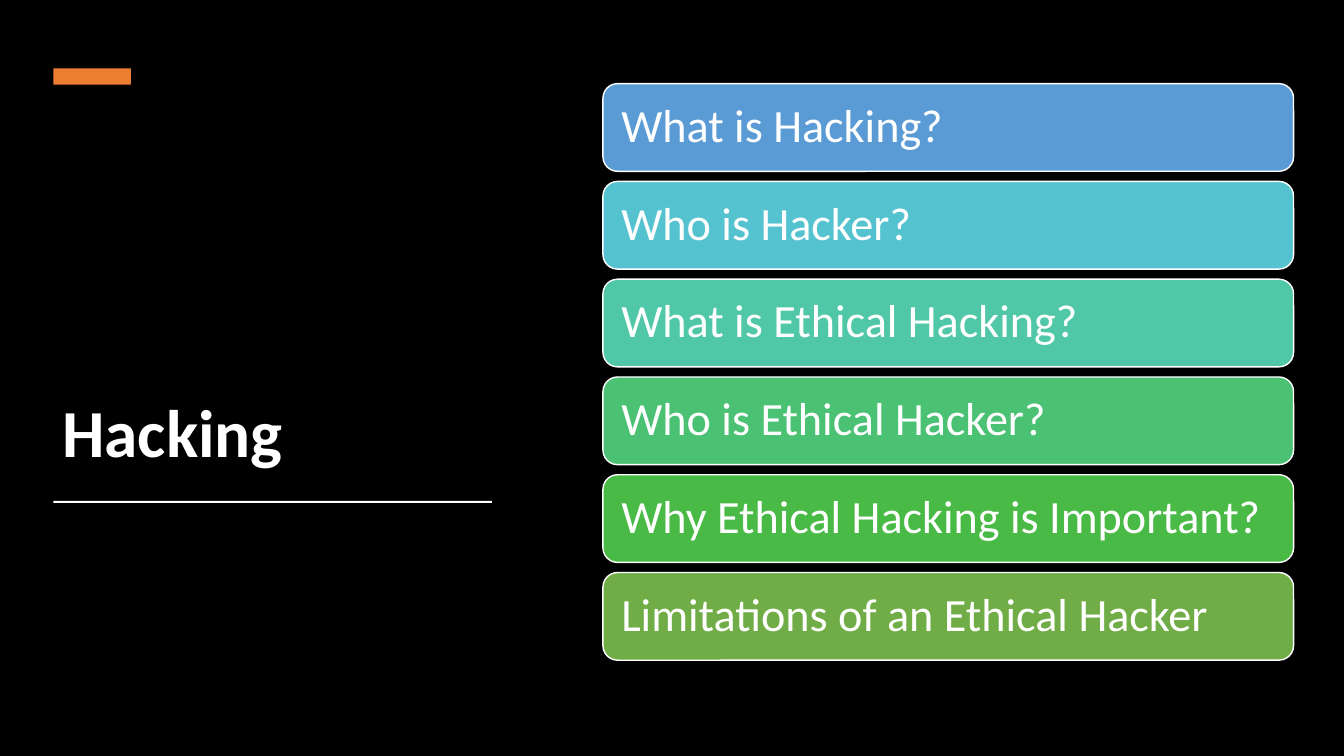
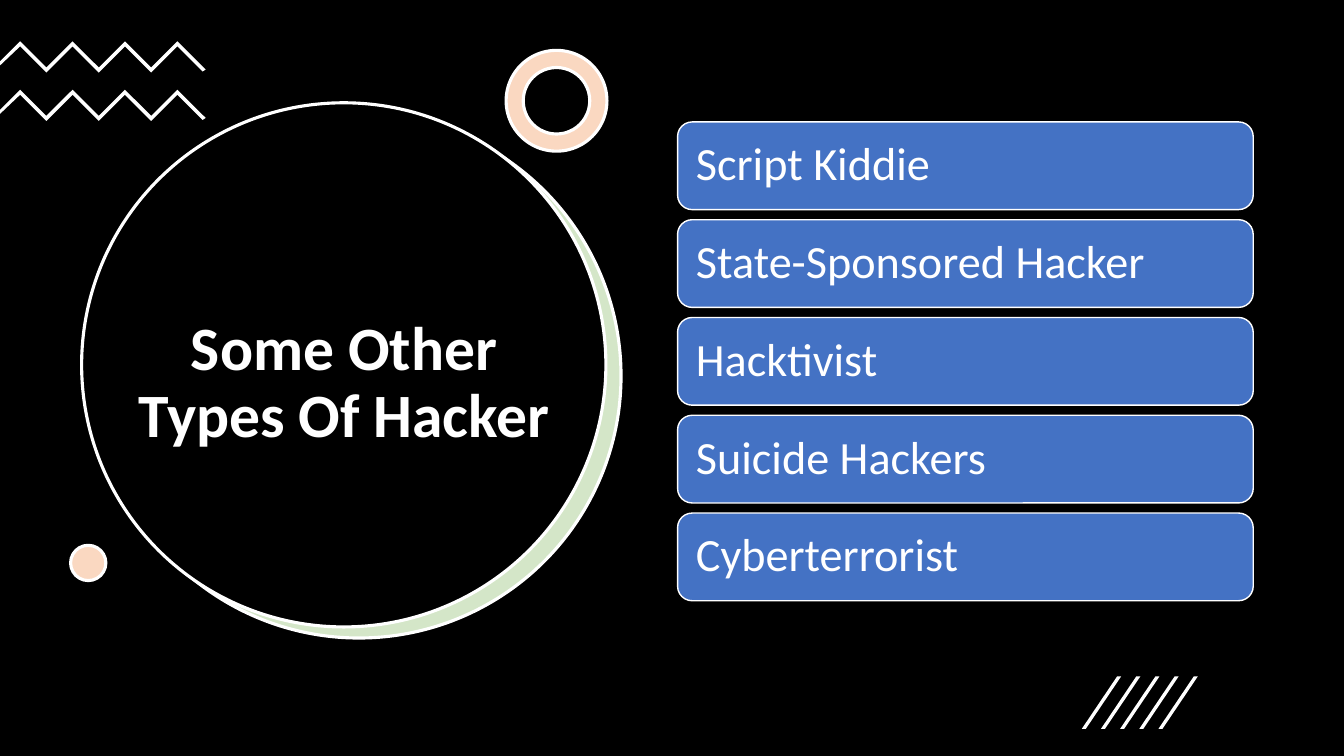
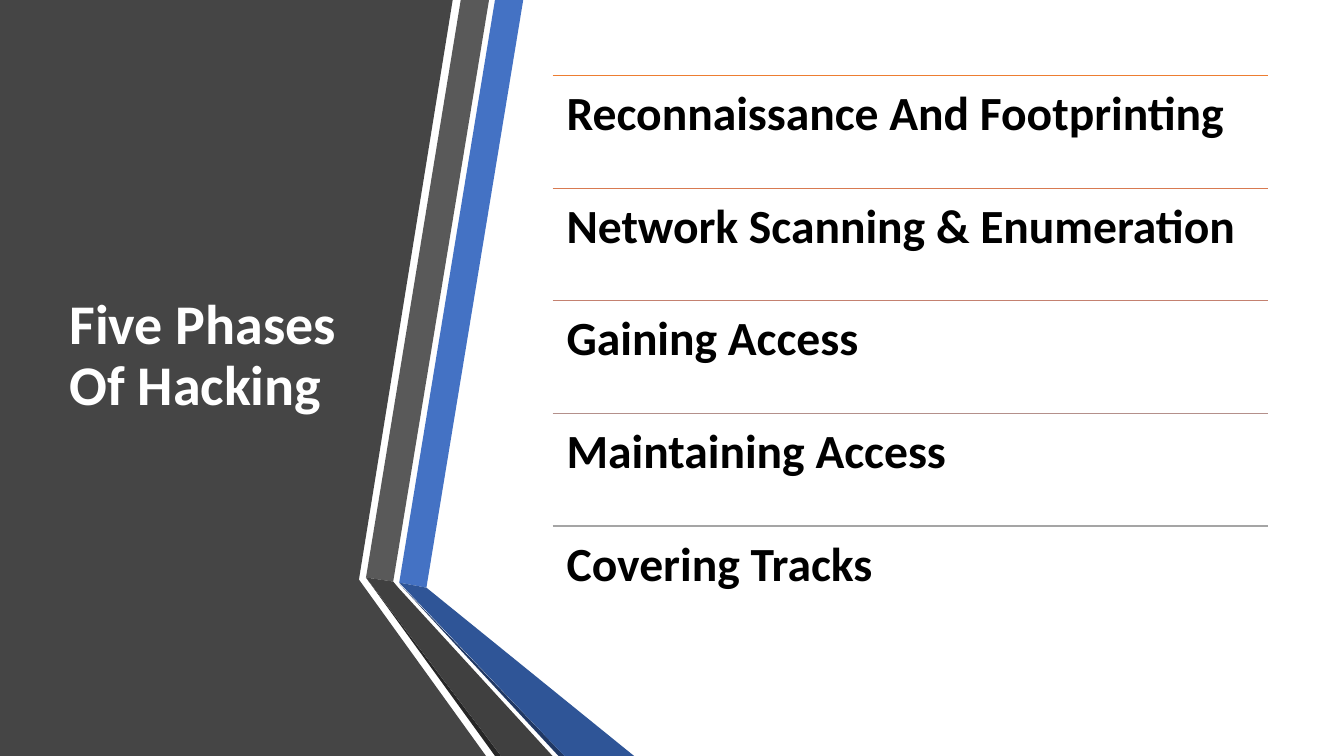
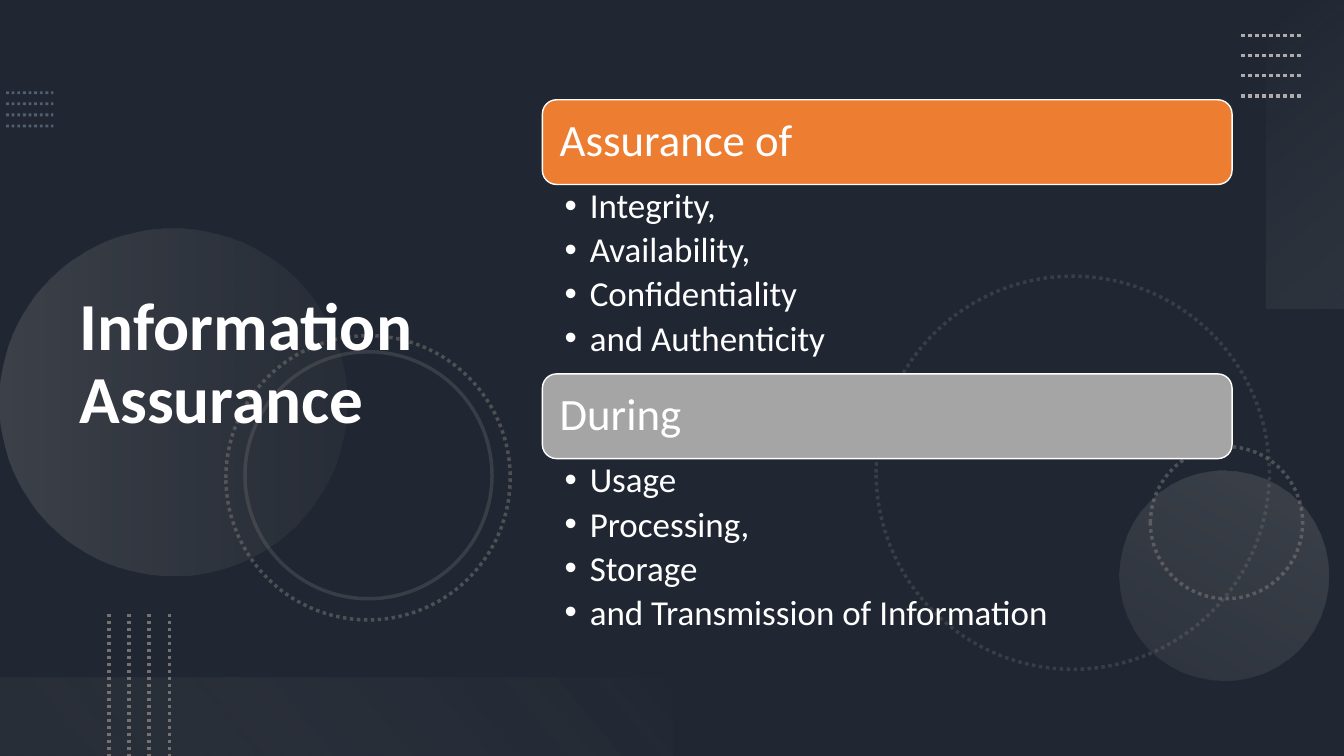
"""Build four slides on hacking, hacker types, hacking phases and information assurance."""
from lxml.etree import SubElement
from pptx import Presentation
from pptx.dml.color import RGBColor
from pptx.enum.dml import MSO_LINE
from pptx.enum.shapes import MSO_CONNECTOR, MSO_SHAPE as SHAPE
from pptx.enum.text import MSO_ANCHOR as ANCHOR, MSO_AUTO_SIZE, PP_ALIGN as ALIGN
from pptx.oxml.ns import qn
from pptx.util import Pt

PX = 9144
W, H = 1333, 750
FONT = "Calibri"
TITLE_ONLY, TWO_CONTENT = 5, 3
C = {
    "black": "000000", "white": "FFFFFF", "night": "202732", "orange": "ED7D31",
    "blue": "4472C4", "navy": "2F5597", "navy_edge": "203864", "panel": "454545",
    "band": "595959", "fold": "404040", "fold_edge": "262626", "peach": "FAD8C1",
    "mint": "D4E6C8", "silver": "A5A5A5", "ash": "AFABAB", "stone": "767171",
    "slate": "8497B0", "pale": "F5F5F5",
}

TOPICS = [
    ("What is Hacking?", "5B9BD5"), ("Who is Hacker?", "55C3CF"),
    ("What is Ethical Hacking?", "50C8A7"), ("Who is Ethical Hacker?", "4BC174"),
    ("Why Ethical Hacking is Important?", "4ABA46"),
    ("Limitations of an Ethical Hacker", "70AD47"),
]
HACKERS = ["Script Kiddie", "State-Sponsored Hacker", "Hacktivist",
           "Suicide Hackers", "Cyberterrorist"]
PHASES = [
    ("Reconnaissance And Footprinting", "ED7D31"),
    ("Network Scanning & Enumeration", "D87A51"), ("Gaining Access", "C48170"),
    ("Maintaining Access", "B4908B"), ("Covering Tracks", "A5A5A5"),
]
ASSURANCE = [
    ("Assurance of", C["orange"],
     ["Integrity,", "Availability,", "Confidentiality", "and Authenticity"]),
    ("During", C["silver"],
     ["Usage", "Processing,", "Storage", "and Transmission of Information"]),
]
FOLDED_BANDS = [
    ("panel", [(0, 0), (449, 0), (356, 575), (482, 750), (0, 750)]),
    ("blue", [(396, 578), (423, 583), (519, 0), (491, 0)]),
    ("band", [(485, 0), (457, 0), (363, 573), (390, 577)]),
    ("fold_edge", [(363, 573), (491, 750), (497, 750)]),
    ("navy_edge", [(396, 579), (554, 750), (560, 750)]),
    ("navy", [(396, 578), (560, 750), (629, 750), (423, 583)]),
    ("fold", [(548, 750), (395, 583), (390, 577), (363, 573), (497, 750)]),
]
RINGS = [
    ((869, 274, 390, 390), 30, True), ((1141, 443, 151, 151), 55, True),
    ((224, 333, 282, 282), 55, True), ((243, 349, 245, 245), 30, False),
]
GLOWS = [
    (SHAPE.OVAL, (0, 227, 344, 344), 270, 90, [(0, "ash", 20), (1, "stone", 10)]),
    (SHAPE.OVAL, (1110, 467, 208, 208), 210, 90, [(0, "ash", 10), (1, "ash", 20)]),
    (SHAPE.RECTANGLE, (1142, 114, 306, 78), 270, 140, [(0, "pale", 0), (1, "ash", 10)]),
    (SHAPE.RECTANGLE, (0, 672, 667, 78), 180, 140, [(0.1, "stone", 10), (1, "pale", 0)]),
]
DOTTED_ROWS = [
    ((6, 92, 53, 92), (0, 11), "slate", 2, 50),
    ((1231, 35, 1291, 35), (0, 20), "ash", 2.5, 100),
    ((108, 609, 108, 750), (20, 0), "stone", 2.5, 100),
]


def emu(values):
    return [v * PX for v in values]


def put(obj, values):
    for name, value in values.items():
        setattr(obj, name, value)


def margins(x, y, right=None):
    return {"margin_left": x * PX, "margin_right": (x if right is None else right) * PX,
            "margin_top": y * PX, "margin_bottom": y * PX}


def fade(parent, percents):
    for clr, percent in zip(parent.iter(qn("a:srgbClr")), percents):
        SubElement(clr, qn("a:alpha"), val=str(percent * 1000))


def stroke(line, color, width, dotted=False):
    line.color.rgb = RGBColor.from_string(color)
    line.width = Pt(width)
    if dotted:
        line.dash_style = MSO_LINE.ROUND_DOT


def paint(sp, fill=None, line=None, width=1):
    sp.shadow.inherit = False
    if fill:
        sp.fill.solid()
        sp.fill.fore_color.rgb = RGBColor.from_string(fill)
    else:
        sp.fill.background()
    if line:
        stroke(sp.line, line, width)
    else:
        sp.line.fill.background()
    return sp


def add_shape(slide, kind, box, *style):
    return paint(slide.shapes.add_shape(kind, *emu(box)), *style)


def add_outline(slide, points, color):
    builder = slide.shapes.build_freeform(*points[0], scale=PX)
    builder.add_line_segments(points[1:], close=True)
    return paint(builder.convert_to_shape(), color)


def add_line(slide, ends, color, width, dotted=False, percent=100):
    cx = slide.shapes.add_connector(MSO_CONNECTOR.STRAIGHT, *emu(ends))
    stroke(cx.line, color, width, dotted)
    spPr = cx._element.spPr
    if percent < 100:
        fade(spPr, [percent])
    SubElement(spPr, qn("a:effectLst"))


def write(sp, lines, size, color, frame, bold=False, align=ALIGN.LEFT, after=0):
    tf = sp.text_frame
    put(tf, {"word_wrap": True, "auto_size": MSO_AUTO_SIZE.NONE, **frame})
    tf.text = "\n".join(lines)
    for p in tf.paragraphs:
        put(p, {"alignment": align, "line_spacing": 0.9,
                "space_before": Pt(0), "space_after": Pt(after)})
        for r in p.runs:
            put(r.font, {"name": FONT, "size": Pt(size), "bold": bold})
            r.font.color.rgb = RGBColor.from_string(color)


def place(sp, box):
    put(sp, dict(zip(("left", "top", "width", "height"), emu(box))))


def add_slide(prs, background, layout=TITLE_ONLY):
    slide = prs.slides.add_slide(prs.slide_layouts[layout])
    slide.background.fill.solid()
    slide.background.fill.fore_color.rgb = RGBColor.from_string(background)
    return slide


def set_title(slide, text, box, size, anchor=ANCHOR.MIDDLE, align=ALIGN.LEFT):
    title = slide.shapes.title
    place(title, box)
    write(title, [text], size, C["white"],
          {"vertical_anchor": anchor, **margins(10, 5)}, True, align)
    slide.shapes._spTree.append(title._element)


def add_card(slide, text, box, fill, size, margin=14):
    card = add_shape(slide, SHAPE.ROUNDED_RECTANGLE, box, fill, C["white"])
    write(card, [text], size, C["white"],
          {"vertical_anchor": ANCHOR.MIDDLE, **margins(margin, margin)})


def add_cards(slide, cards, left, top, width):
    for i, (text, fill) in enumerate(cards):
        add_card(slide, text, (left, top + 97 * i, width, 87), fill, 33)


def topics_slide(prs):
    slide = add_slide(prs, C["black"])
    set_title(slide, "Hacking", (52, 123, 440, 350), 48, ANCHOR.BOTTOM)
    add_shape(slide, SHAPE.RECTANGLE, (53, 68, 77, 16), C["orange"])
    add_shape(slide, SHAPE.RECTANGLE, (53, 497, 435, 2), C["white"])
    add_cards(slide, TOPICS, 598, 83, 685)


def zigzag(top):
    ridge = [(20 + 26 * i, top + 26 * (i % 2)) for i in range(7)]
    under = [(x, y + 5) for x, y in reversed(ridge)]
    return (ridge + [(204, top + 28), (201, top + 30)] + under
            + [(0, top + 24), (0, top + 20)])


def hackers_slide(prs):
    slide = add_slide(prs, C["black"])
    for box, fill in [((96, 113, 520, 520), "mint"), ((81, 102, 520, 520), "black"),
                      ((70, 541, 35, 35), "peach")]:
        add_shape(slide, SHAPE.OVAL, box, C[fill], C["white"], 2.25)
    ring = add_shape(slide, SHAPE.DONUT, (502, 50, 100, 100), C["peach"], C["white"], 2.25)
    ring.adjustments[0] = 0.17
    set_title(slide, "Some Other Types Of Hacker", (121, 205, 441, 352), 44,
              align=ALIGN.CENTER)
    for top in (41, 89):
        add_outline(slide, zigzag(top), C["white"])
    for left in range(1073, 1073 + 5 * 19, 19):
        add_outline(slide, [(left + 4, 723), (left, 723), (left + 35, 671),
                            (left + 39, 671)], C["white"])
    add_cards(slide, [(name, C["blue"]) for name in HACKERS], 672, 121, 571)


def phases_slide(prs):
    slide = add_slide(prs, C["white"])
    for color, points in FOLDED_BANDS:
        add_outline(slide, points, C[color])
    set_title(slide, "Five Phases Of Hacking", (59, 75, 304, 558), 40)
    for i, (text, color) in enumerate(PHASES):
        top = round(75 + 111.7 * i)
        add_line(slide, (548, top, 1258, top), color, 1)
        box = slide.shapes.add_textbox(*emu((548, top, 710, 112)))
        write(box, [text], 34, C["black"], margins(14, 14), True)


def assurance_slide(prs):
    slide = add_slide(prs, C["night"], TWO_CONTENT)
    for box, percent, dotted in RINGS:
        ring = add_shape(slide, SHAPE.OVAL, box)
        stroke(ring.line, C["stone"], 2.5, dotted)
        fade(ring._element.spPr, [percent])
    for kind, box, turn, angle, stops in GLOWS:
        glow = add_shape(slide, kind, box)
        glow.rotation = turn
        glow.fill.gradient()
        glow.fill.gradient_angle = 360 - angle
        for stop, (position, color, _) in zip(glow.fill.gradient_stops, stops):
            stop.position = position
            stop.color.rgb = RGBColor.from_string(C[color])
        fade(glow._element.spPr, [percent for _, _, percent in stops])
    for (x1, y1, x2, y2), (dx, dy), color, width, percent in DOTTED_ROWS:
        for i in range(4):
            add_line(slide, (x1 + dx * i, y1 + dy * i, x2 + dx * i, y2 + dy * i),
                     C[color], width, True, percent)
    set_title(slide, "Information Assurance", (69, 54, 459, 617), 48)
    for i, (heading, fill, items) in enumerate(ASSURANCE):
        top = 99 + 272 * i
        add_card(slide, heading, (538, top, 684, 84), fill, 32, 13)
        body = slide.placeholders[i + 1]
        place(body, (538, top + 84, 684, 188))
        write(body, items, 25, C["white"],
              {"vertical_anchor": ANCHOR.TOP, **margins(22, 4, 25)}, after=4.5)
        for p in body.text_frame.paragraphs:
            pPr = p._p.get_or_add_pPr()
            pPr.set("marL", str(25 * PX))
            pPr.set("indent", str(-25 * PX))
        slide.shapes._spTree.append(body._element)


def main():
    prs = Presentation()
    put(prs, {"slide_width": W * PX, "slide_height": H * PX})
    for build in (topics_slide, hackers_slide, phases_slide, assurance_slide):
        build(prs)
    prs.save("out.pptx")


if __name__ == "__main__":
    main()
